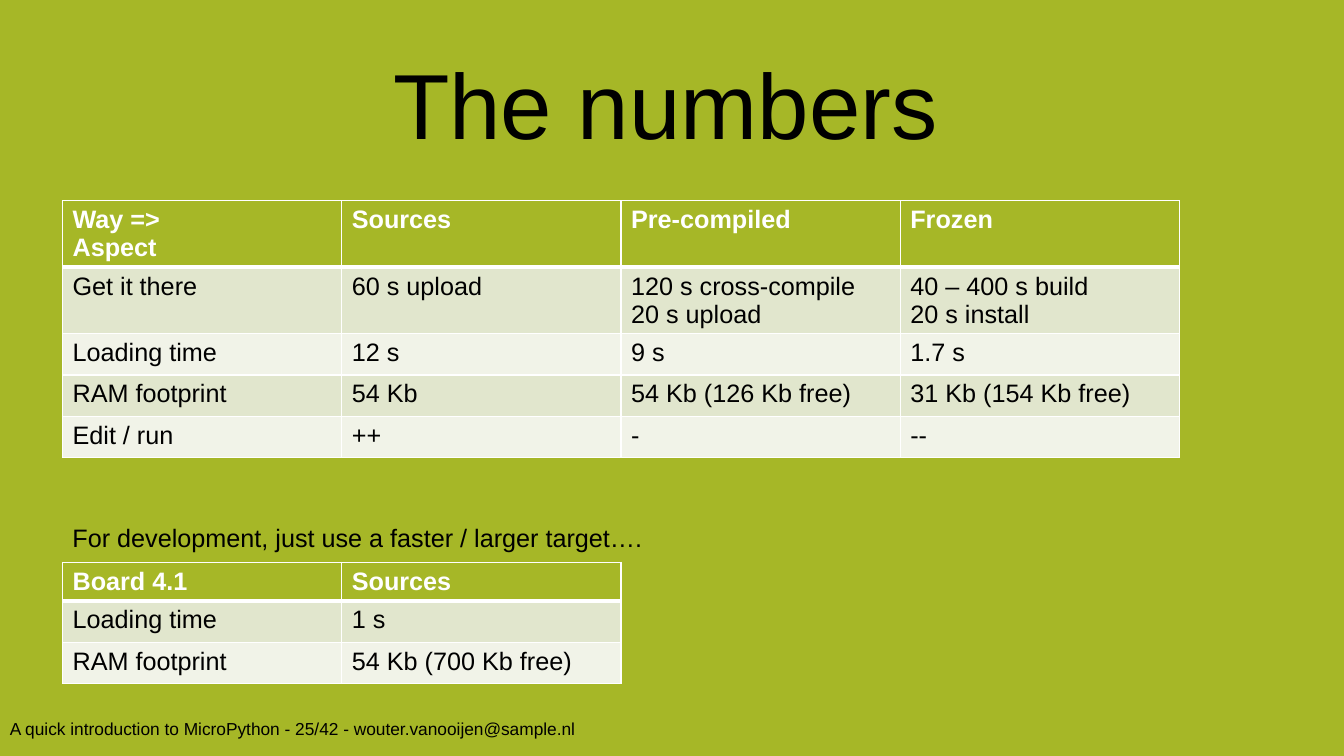
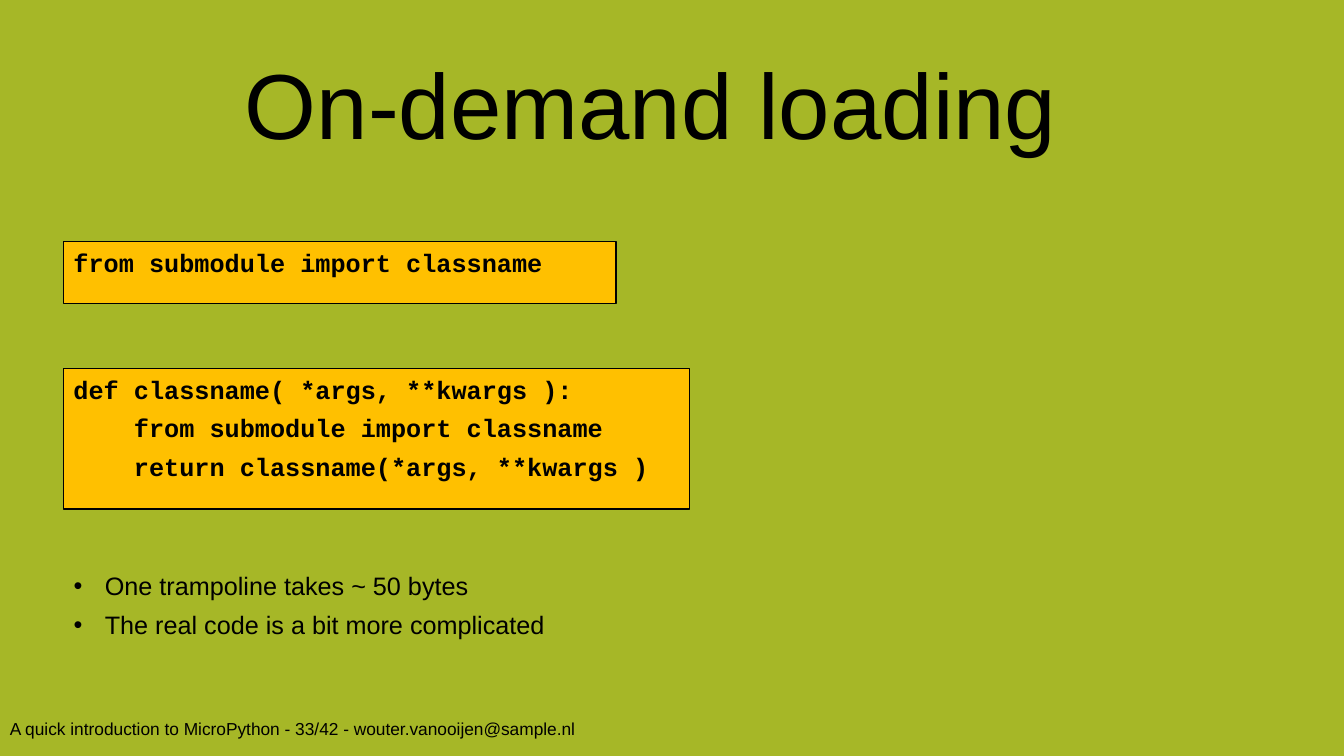
from pptx import Presentation
from pptx import util as u
from pptx.dml.color import RGBColor
from pptx.enum import shapes, text
from pptx.oxml import parse_xml
from pptx.oxml.ns import nsdecls

LIME, BLACK, WHITE, AMBER = "A6B727", "000000", "FFFFFF", "FFC000"
BANDS = ("E1E6CD", "F1F3E8")
SANS, MONO = "Arial", "Courier New"
FOOTER = "A quick introduction to MicroPython - {}/42 - wouter.vanooijen@sample.nl"
LEFT, COL_W = 0.62, 2.77
TITLE_TOP, TITLE_H = 0.34, 1.39
HEADER_H, ROW_H, TWO_LINE_H = 0.38, 0.41, 0.66

WAYS = [
    ("Way =>\nAspect", "Sources", "Pre-compiled", "Frozen"),
    ("Get it there", "60 s upload", "120 s cross-compile\n20 s upload",
     "40 – 400 s build\n20 s install"),
    ("Loading time", "12 s", "9 s", "1.7 s"),
    ("RAM footprint", "54 Kb", "54 Kb (126 Kb free)", "31 Kb (154 Kb free)"),
    ("Edit / run", "++", "-", "--"),
]
FAST_TARGET = [
    ("Board 4.1", "Sources"),
    ("Loading time", "1 s"),
    ("RAM footprint", "54 Kb (700 Kb free)"),
]
ADVICE = "For development, just use a faster / larger target…."
CODE_BOXES = [
    ((0.63, 2.4, 5.48, 0.61), ["from submodule import classname"]),
    ((0.63, 3.66, 6.21, 1.39), [
        "def classname( *args, **kwargs ):",
        "    from submodule import classname",
        "    return classname(*args, **kwargs )",
    ]),
]
BULLETS = ["One trampoline takes ~ 50 bytes",
           "The real code is a bit more complicated"]


def rgb(value):
    return RGBColor.from_string(value)


def inches(*values):
    return [u.Inches(v) for v in values]


def style(p, size=18, name=SANS, color=BLACK, bold=False):
    p.font.size, p.font.name, p.font.bold = u.Pt(size), name, bold
    p.font.color.rgb = rgb(color)


def write(sp, lines, after=6, align=text.PP_ALIGN.LEFT, spacing=1.0, **font):
    tf = sp.text_frame
    tf.word_wrap = True
    tf.auto_size = text.MSO_AUTO_SIZE.NONE
    tf.vertical_anchor = text.MSO_ANCHOR.TOP
    tf.text = "\n".join(lines)
    for p in tf.paragraphs:
        p.alignment, p.line_spacing = align, spacing
        p.space_before, p.space_after = u.Pt(0), u.Pt(after)
        style(p, **font)
    return tf


def place(sp, box):
    sp.left, sp.top, sp.width, sp.height = inches(*box)


def add_slide(prs, layout, title, number, left, width):
    s = prs.slides.add_slide(prs.slide_layouts.get_by_name(layout))
    place(s.shapes.title, (left, TITLE_TOP, width, TITLE_H))
    write(s.shapes.title, [title], after=8, align=text.PP_ALIGN.CENTER,
          spacing=1.07, size=66)
    footer = s.shapes.add_textbox(*inches(0, 7.1, 6.87, 0.4))
    write(footer, [FOOTER.format(number)], after=8, spacing=0.87, size=12.4)
    return s


def add_borders(cell, row):
    widths = {"L": 1, "R": 1, "T": 3 if row == 1 else 1, "B": 3 if row == 0 else 1}
    for side, width in widths.items():
        cell._tc.get_or_add_tcPr().append(parse_xml(
            f'<a:ln{side} {nsdecls("a")} w="{u.Pt(width)}"><a:solidFill>'
            f'<a:srgbClr val="{WHITE}"/></a:solidFill></a:ln{side}>'))


def add_table(s, rows, top):
    heights = [TWO_LINE_H if any("\n" in t for t in row)
               else ROW_H if i else HEADER_H for i, row in enumerate(rows)]
    cols = len(rows[0])
    table = s.shapes.add_table(len(rows), cols, *inches(
        LEFT, top, COL_W * cols, sum(heights))).table
    table.horz_banding = False
    for column in table.columns:
        column.width = u.Inches(COL_W)
    for i, row in enumerate(rows):
        table.rows[i].height = u.Inches(heights[i])
        for j, value in enumerate(row):
            cell = table.cell(i, j)
            cell.text = value
            add_borders(cell, i)
            cell.fill.solid()
            cell.fill.fore_color.rgb = rgb(BANDS[(i - 1) % 2] if i else LIME)
            for p in cell.text_frame.paragraphs:
                style(p, color=BLACK if i else WHITE, bold=i == 0)


def add_code(s, box, lines):
    sp = s.shapes.add_shape(shapes.MSO_SHAPE.RECTANGLE, *inches(*box))
    sp.shadow.inherit = False
    sp.fill.solid()
    sp.fill.fore_color.rgb = rgb(AMBER)
    sp.line.color.rgb = rgb(BLACK)
    sp.line.width = u.Pt(0.75)
    write(sp, lines, name=MONO, bold=True)


def numbers_slide(prs):
    s = add_slide(prs, "Title Only", "The numbers", 25, 0.8, 11.6)
    add_table(s, WAYS, 1.99)
    advice = s.shapes.add_textbox(*inches(LEFT, 5.13, 11.89, 0.45))
    write(advice, [ADVICE])
    add_table(s, FAST_TARGET, 5.58)


def loading_slide(prs):
    s = add_slide(prs, "Title and Content", "On-demand loading", 33, 0.51, 11.89)
    for box, lines in CODE_BOXES:
        add_code(s, box, lines)
    body = s.placeholders[1]
    place(body, (0.63, 5.61, 5.78, 1.07))
    for p in write(body, BULLETS).paragraphs:
        pPr = p._p.get_or_add_pPr()
        pPr.set("marL", str(u.Inches(0.31)))
        pPr.set("indent", str(u.Inches(-0.31)))


def main():
    prs = Presentation()
    prs.slide_width, prs.slide_height = inches(13.33, 7.5)
    background = prs.slide_master.background.fill
    background.solid()
    background.fore_color.rgb = rgb(LIME)
    numbers_slide(prs)
    loading_slide(prs)
    prs.save("out.pptx")


if __name__ == "__main__":
    main()
